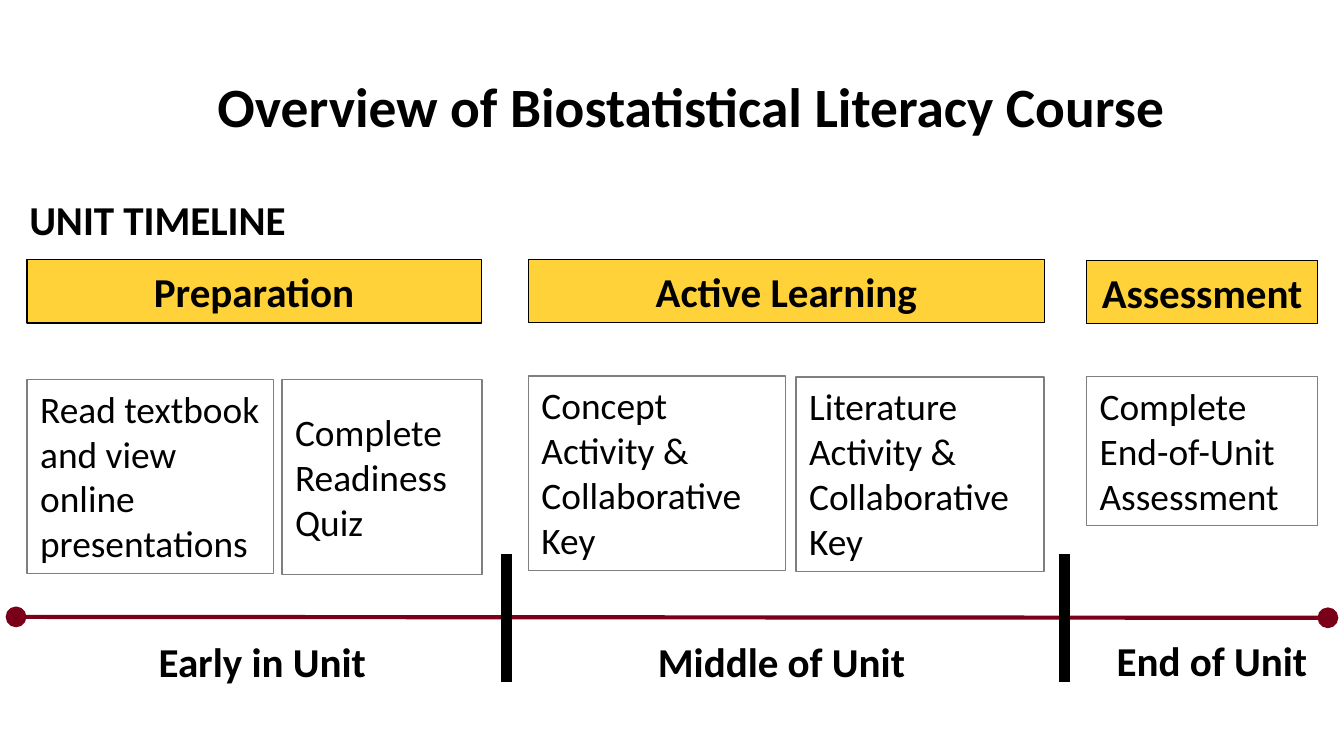
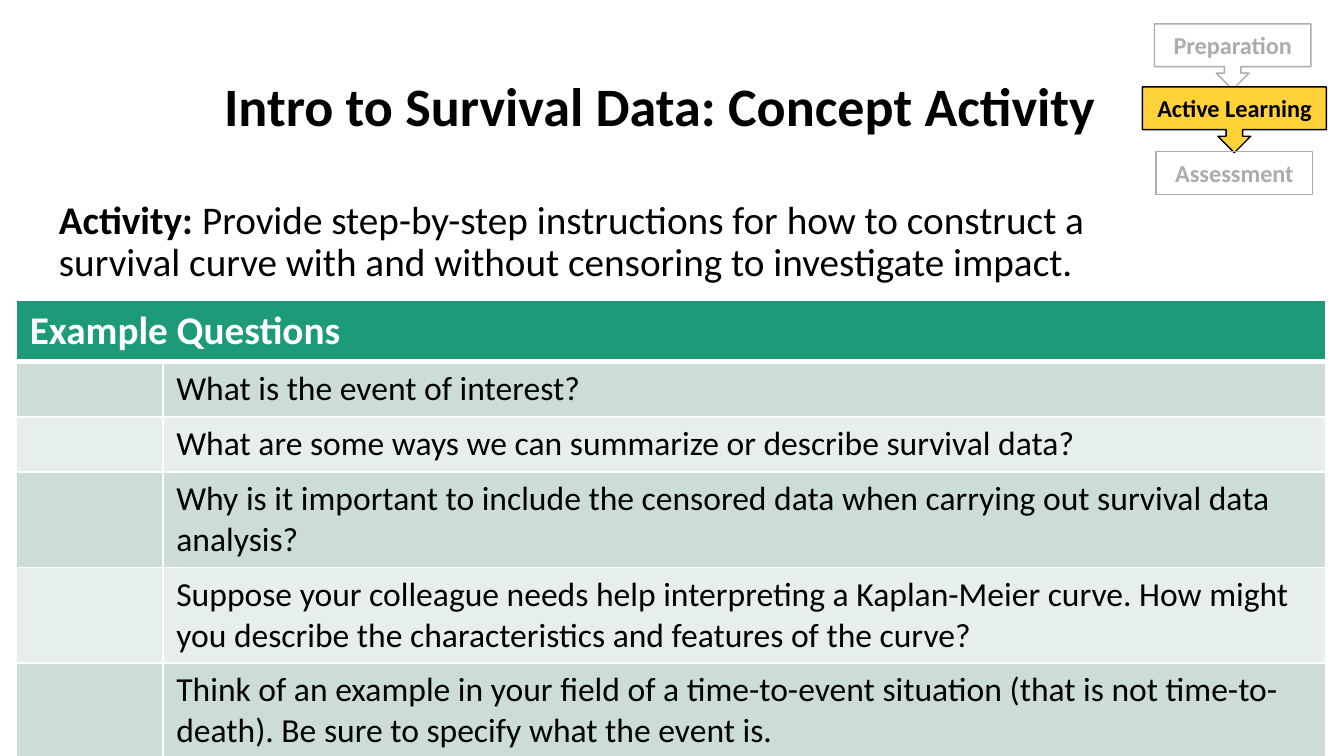
from lxml import etree
from pptx import Presentation
from pptx import util as u
from pptx.dml.color import RGBColor
from pptx.enum import shapes, text
from pptx.oxml import ns

BLACK = RGBColor(0x00, 0x00, 0x00)
WHITE = RGBColor(0xFF, 0xFF, 0xFF)
MAROON = RGBColor(0x7A, 0x00, 0x19)
GOLD = RGBColor(0xFF, 0xD2, 0x39)
GRAY = RGBColor(0x7F, 0x7F, 0x7F)
FADED = RGBColor(0xAE, 0xAB, 0xAB)
GREEN = RGBColor(0x1D, 0x9A, 0x78)
BANDS = (RGBColor(0xE7, 0xEF, 0xEB), RGBColor(0xCB, 0xDD, 0xD5))

FONT = "Calibri"
TOP, MIDDLE = text.MSO_ANCHOR.TOP, text.MSO_ANCHOR.MIDDLE
LEFT, CENTER = text.PP_ALIGN.LEFT, text.PP_ALIGN.CENTER
RECTANGLE = shapes.MSO_SHAPE.RECTANGLE
CALLOUT = shapes.MSO_SHAPE.DOWN_ARROW_CALLOUT


def apply(target, formats):
    for name, value in formats.items():
        setattr(target, name, value)


def points(*lengths):
    return [u.Pt(length) for length in lengths]


class Deck:
    """Holds the shared style and the current slide."""

    def __init__(self):
        self.presentation = Presentation()
        apply(self.presentation, {"slide_width": u.Pt(720), "slide_height": u.Pt(405)})
        self.slide = None

    def start_slide(self):
        self.slide = self.presentation.slides.add_slide(self.presentation.slide_layouts[6])

    def add_runs(self, frame, runs, size, color=BLACK, align=LEFT, spacing=1.0):
        paragraph = frame.paragraphs[0]
        apply(paragraph, {"alignment": align, "line_spacing": spacing})
        for words, bold in runs:
            run = paragraph.add_run()
            run.text = words
            apply(run.font, {"name": FONT, "size": u.Pt(size), "bold": bold})
            run.font.color.rgb = color

    def frame(self, shape, anchor=TOP, inset=3.6):
        apply(shape.text_frame, {
            "word_wrap": True, "auto_size": text.MSO_AUTO_SIZE.NONE, "vertical_anchor": anchor,
            "margin_left": u.Pt(7.2), "margin_right": u.Pt(7.2),
            "margin_top": u.Pt(inset), "margin_bottom": u.Pt(inset),
        })
        return shape.text_frame

    def text(self, place, runs, size, inset=3.6, **style):
        shape = self.slide.shapes.add_textbox(*points(*place))
        self.add_runs(self.frame(shape, inset=inset), runs, size, **style)

    def title(self, left, words, size):
        self.text((left, 35.3, 584, 45.4), [(words, True)], size, inset=7.2, spacing=0.9)

    def box(self, place, words, size, kind=RECTANGLE, fill=None, line=BLACK,
            color=BLACK, bold=True, align=CENTER, anchor=TOP):
        shape = self.slide.shapes.add_shape(kind, *points(*place))
        shape.shadow.inherit = False
        if fill is None:
            shape.fill.background()
        else:
            shape.fill.solid()
            shape.fill.fore_color.rgb = fill
        shape.line.color.rgb = line
        shape.line.width = u.Pt(0.75)
        if kind == CALLOUT:
            for index, value in enumerate((0.25, 0.25, 0.25, 0.65)):
                shape.adjustments[index] = value
        self.add_runs(self.frame(shape, anchor), [(words, bold)], size, color, align)

    def line(self, ends, color, width, dots=False):
        connector = self.slide.shapes.add_connector(shapes.MSO_CONNECTOR.STRAIGHT, *points(*ends))
        connector.line.color.rgb = color
        connector.line.width = u.Pt(width)
        properties = connector._element.spPr
        if dots:
            outline = properties.find(ns.qn("a:ln"))
            for end in ("a:headEnd", "a:tailEnd"):
                etree.SubElement(outline, ns.qn(end), type="oval", w="lg", len="lg")
        etree.SubElement(properties, ns.qn("a:effectLst"))

    def border(self, cell, widths):
        properties = cell._tc.get_or_add_tcPr()
        for side, width in zip("LRTB", widths):
            edge = etree.SubElement(properties, ns.qn(f"a:ln{side}"), w=str(u.Pt(width)))
            fill = etree.SubElement(edge, ns.qn("a:solidFill"))
            etree.SubElement(fill, ns.qn("a:srgbClr"), val=str(WHITE))

    def question_table(self, place, columns, header, questions):
        rows = len(questions) + 1
        table = self.slide.shapes.add_table(rows, len(columns), *points(*place)).table
        for column, width in zip(table.columns, columns):
            column.width = u.Pt(width)
        for index, row in enumerate(table.rows):
            row.height = u.Pt(place[3] / rows)
            for cell in row.cells:
                self.border(cell, (1, 1, 3 if index == 1 else 1, 3 if index == 0 else 1))
                cell.fill.solid()
                cell.fill.fore_color.rgb = BANDS[index % 2] if index else GREEN
        table.cell(0, 0).merge(table.cell(0, len(columns) - 1))
        self.add_runs(table.cell(0, 0).text_frame, [(header, True)], 21, WHITE)
        for index, question in enumerate(questions, 1):
            self.add_runs(table.cell(index, 1).text_frame, [(question, False)], 18)


def build_overview(deck):
    deck.start_slide()
    deck.title(109.4, "Overview of Biostatistical Literacy Course", 29.7)
    deck.line((8.6, 330.5, 711.4, 331), MAROON, 2.25, dots=True)

    phases = (
        ("Preparation", (14.4, 139.2, 243.4, 33.8)),
        ("Active Learning", (283, 139, 276.5, 33.8)),
        ("Assessment", (582, 139.6, 124, 33.8)),
    )
    tasks = (
        ("Read textbook and view online presentations", (14.4, 203.2, 132, 104.2), TOP),
        ("Complete Readiness Quiz", (151, 203.2, 107.2, 104.5), MIDDLE),
        ("Concept Activity & Collaborative Key", (283, 201.4, 138, 104.2), TOP),
        ("Literature Activity & Collaborative Key", (426.4, 202, 133, 104.2), TOP),
        ("Complete End-of-Unit Assessment", (582, 201.6, 124, 79.8), MIDDLE),
    )
    stages = (
        ("Early in Unit", (21, 337.7, 239, 33.8)),
        ("Middle of Unit", (281.5, 337.3, 274.3, 33.8)),
        ("End of Unit", (582, 337, 134.6, 33.8)),
    )
    for words, place in phases:
        deck.box(place, words, 22, fill=GOLD)
    for words, place, anchor in tasks:
        deck.box(place, words, 20, line=GRAY, bold=False, align=LEFT, anchor=anchor)
    for words, place in stages:
        deck.text(place, [(words, True)], 22, align=CENTER)
    deck.text((8.6, 100.8, 254, 33.8), [("UNIT TIMELINE", True)], 22)
    for divider in (271.4, 570.2):
        deck.line((divider, 297, divider, 365.5), BLACK, 6)


def build_concept_activity(deck):
    deck.start_slide()
    deck.text((24.5, 100.1, 594.7, 67), [
        ("Activity: ", True),
        ("Provide step-by-step instructions for how to construct a survival curve "
         "with and without censoring to investigate impact.", False),
    ], 21, inset=7.2, spacing=0.9)
    deck.title(113, "Intro to Survival Data: Concept Activity", 29)

    faded = {"line": FADED, "color": FADED}
    steps = (
        ("Preparation", (618.5, 12.8, 83.8, 35.2), CALLOUT, faded),
        ("Active Learning", (612, 46.6, 98.6, 35.2), CALLOUT, {"fill": GOLD}),
        ("Assessment", (619.4, 81.2, 83.8, 23), RECTANGLE, faded),
    )
    for words, place, kind, style in steps:
        deck.box(place, words, 13, kind=kind, **style)

    deck.question_table((8.8, 160.9, 701.3, 177), (78.5, 622.8), "Example Questions", (
        "What is the event of interest?",
        "What are some ways we can summarize or describe survival data?",
        "Why is it important to include the censored data when carrying out survival data analysis?",
        "Suppose your colleague needs help interpreting a Kaplan-Meier curve. "
        "How might you describe the characteristics and features of the curve?",
        "Think of an example in your field of a time-to-event situation "
        "(that is not time-to-death). Be sure to specify what the event is.",
    ))


def main():
    deck = Deck()
    build_overview(deck)
    build_concept_activity(deck)
    deck.presentation.save("out.pptx")


if __name__ == "__main__":
    main()
